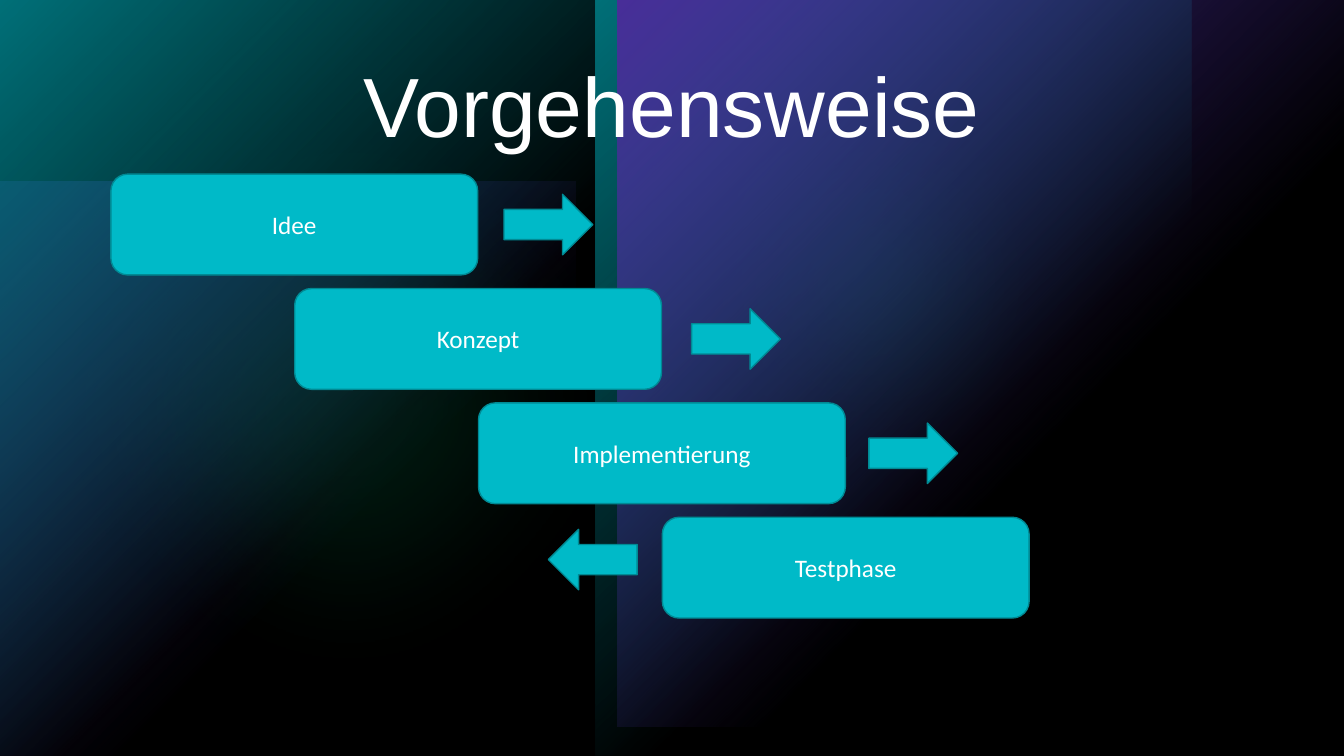
from lxml import etree
from pptx import Presentation
from pptx.dml.color import RGBColor
from pptx.enum.shapes import MSO_SHAPE
from pptx.enum.text import MSO_ANCHOR, PP_ALIGN
from pptx.oxml.ns import qn
from pptx.util import Pt

RECTANGLE = MSO_SHAPE.RECTANGLE
OVAL = MSO_SHAPE.OVAL
ROUNDED = MSO_SHAPE.ROUNDED_RECTANGLE
RIGHT_ARROW = MSO_SHAPE.RIGHT_ARROW
CENTER = PP_ALIGN.CENTER
TOP = MSO_ANCHOR.TOP
MIDDLE = MSO_ANCHOR.MIDDLE

BLACK = RGBColor(0x00, 0x00, 0x00)
WHITE = RGBColor(0xFF, 0xFF, 0xFF)
TEAL = RGBColor(0x00, 0xBA, 0xC8)
DARK_TEAL = RGBColor(0x00, 0x8A, 0x94)
PURPLE = RGBColor(0x79, 0x4D, 0xFF)
GREEN = RGBColor(0x00, 0xD1, 0x7D)

SLIDE_WIDTH, SLIDE_HEIGHT = 960, 540
STEPS = ["Idee", "Konzept", "Implementierung", "Testphase"]
STEP_LEFT, STEP_TOP = 79.2, 124.4
STEP_SHIFT, STEP_DROP = 131.3, 81.7
STEP_WIDTH, STEP_HEIGHT = 262, 72
ARROW_WIDTH, ARROW_HEIGHT = 63.4, 43.2
ARROWS = [(360, 14.4, 0), (494, 14.4, 0), (620.6, 14.4, 0), (391.7, 8.6, 180)]
SOFT_EDGE = 100

TITLE_FONT = {"name": "Arial", "size": Pt(60)}
STEP_FONT = {"name": "Calibri", "size": Pt(18)}


def add_plain_shape(slide, kind, box):
    shape = slide.shapes.add_shape(kind, *map(Pt, box))
    shape.shadow.inherit = False
    shape.line.fill.background()
    return shape


def set_opacities(shape, *percents):
    colours = shape.element.spPr.iter(qn("a:srgbClr"))
    for colour, percent in zip(list(colours), percents):
        etree.SubElement(colour, qn("a:alpha"), val=str(percent * 1000))


def add_tint(slide, kind, box, colour, opacity):
    tint = add_plain_shape(slide, kind, box)
    tint.fill.solid()
    tint.fill.fore_color.rgb = colour
    set_opacities(tint, opacity)
    return tint


def add_glow(slide, box, opacity):
    glow = add_tint(slide, OVAL, box, GREEN, opacity)
    effects = glow.element.spPr.find(qn("a:effectLst"))
    etree.SubElement(effects, qn("a:softEdge"), rad=str(Pt(SOFT_EDGE)))


def add_fade(slide, box, colour, opacity=100):
    fade = add_plain_shape(slide, RECTANGLE, box)
    fade.fill.gradient()
    fade.fill.gradient_angle = 315
    for stop, position in zip(fade.fill.gradient_stops, (0, 0.6)):
        stop.color.rgb = colour
        stop.position = position
    set_opacities(fade, opacity, 0)


def add_backdrop(slide):
    slide.background.fill.solid()
    slide.background.fill.fore_color.rgb = BLACK
    add_fade(slide, (0, 129.6, 411, 411), PURPLE, 60)
    add_glow(slide, (453, 31, 340, 340), 60)
    add_glow(slide, (0, 40.3, 499.7, 499.7), 20)
    for left in (0, 425.5):
        add_fade(slide, (left, 0, 425.5, SLIDE_HEIGHT), TEAL)
    add_fade(slide, (441, 0, 519, 519), PURPLE)
    add_tint(slide, RECTANGLE, (0, 0, SLIDE_WIDTH, SLIDE_HEIGHT), BLACK, 40)


def write_text(frame, text, font_format, anchor):
    frame.word_wrap = True
    frame.vertical_anchor = anchor
    paragraph = frame.paragraphs[0]
    paragraph.alignment = CENTER
    run = paragraph.add_run()
    run.text = text
    for name, value in font_format.items():
        setattr(run.font, name, value)
    run.font.color.rgb = WHITE
    return paragraph


def add_title(slide, text):
    title = slide.shapes.add_textbox(*map(Pt, (42.5, 42.5, 874, 142.6)))
    write_text(title.text_frame, text, TITLE_FONT, TOP).line_spacing = 0.9


def add_teal_shape(slide, kind, box):
    shape = add_plain_shape(slide, kind, box)
    shape.fill.solid()
    shape.fill.fore_color.rgb = TEAL
    shape.line.color.rgb = DARK_TEAL
    shape.line.width = Pt(1)
    return shape


def add_step(slide, index, text):
    left = STEP_LEFT + index * STEP_SHIFT
    top = STEP_TOP + index * STEP_DROP
    step = add_teal_shape(slide, ROUNDED, (left, top, STEP_WIDTH, STEP_HEIGHT))
    write_text(step.text_frame, text, STEP_FONT, MIDDLE)


def add_arrow(slide, index, left, offset, rotation):
    top = STEP_TOP + index * STEP_DROP + offset
    arrow = add_teal_shape(slide, RIGHT_ARROW, (left, top, ARROW_WIDTH, ARROW_HEIGHT))
    arrow.rotation = rotation


def main():
    presentation = Presentation()
    presentation.slide_width = Pt(SLIDE_WIDTH)
    presentation.slide_height = Pt(SLIDE_HEIGHT)
    slide = presentation.slides.add_slide(presentation.slide_layouts[6])
    add_backdrop(slide)
    add_title(slide, "Vorgehensweise")
    for index, text in enumerate(STEPS):
        add_step(slide, index, text)
    for index, arrow in enumerate(ARROWS):
        add_arrow(slide, index, *arrow)
    presentation.save("out.pptx")


if __name__ == "__main__":
    main()
